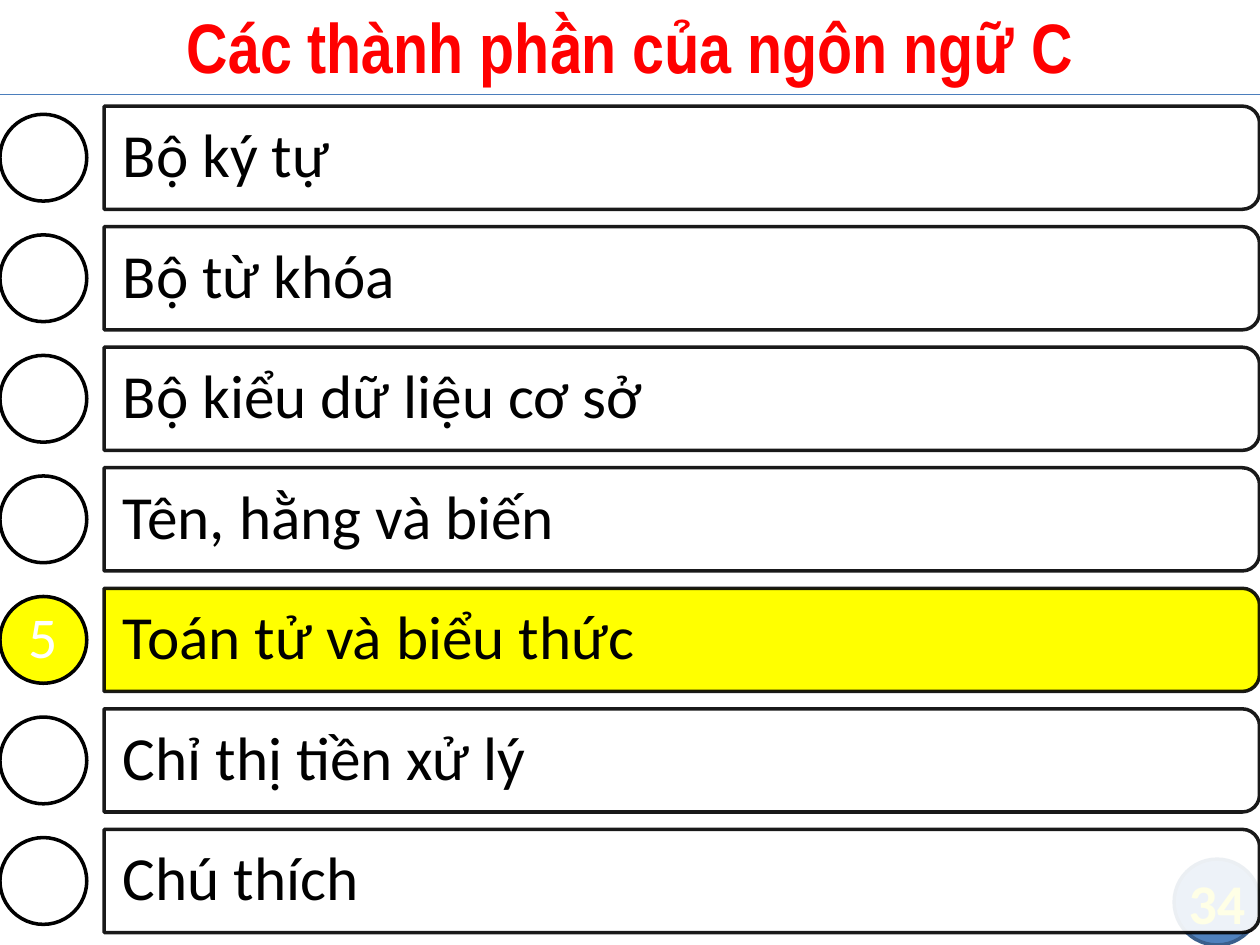
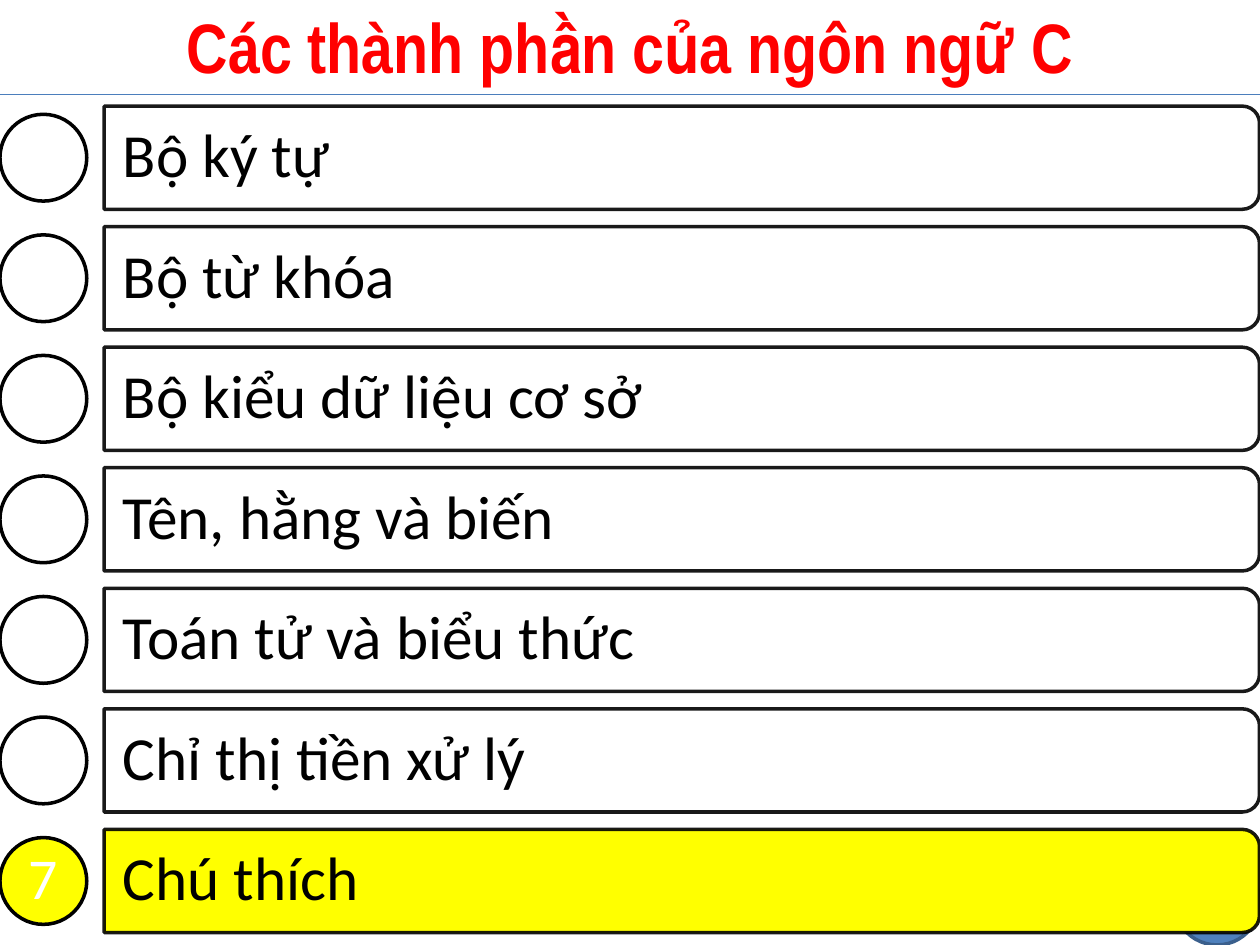
"""Build the agenda slides on the parts of the C language, one highlighted topic each."""
from dataclasses import dataclass

from lxml.etree import SubElement
from pptx import Presentation
from pptx.dml.color import RGBColor
from pptx.enum.shapes import MSO_CONNECTOR, MSO_SHAPE
from pptx.enum.text import MSO_ANCHOR, PP_ALIGN
from pptx.oxml.ns import qn
from pptx.util import Cm, Pt

TITLE = "Các thành phần của ngôn ngữ C"
TOPICS = [
    "Bộ ký tự",
    "Bộ từ khóa",
    "Bộ kiểu dữ liệu cơ sở",
    "Tên, hằng và biến",
    "Toán tử và biểu thức",
    "Chỉ thị tiền xử lý",
    "Chú thích",
]
PAGES = [
    {"number": 34, "current": 5},
    {"number": 52, "current": 7},
]


@dataclass(frozen=True)
class Theme:
    title_font: str = "Arial Narrow"
    body_font: str = "Calibri"
    title_size: int = 40
    topic_size: int = 35
    marker_size: int = 33
    number_size: int = 32
    title: str = "FF0000"
    text: str = "000000"
    plain: str = "FFFFFF"
    highlight: str = "FFFF00"
    badge: str = "4F81BD"
    badge_line: str = "3A5F8C"
    rule: str = "4B7EBC"
    outline: float = 2
    rule_width: float = 0.75
    opacity: int = 90


THEME = Theme()
PAGE_WIDTH, PAGE_HEIGHT = 25.4, 19.05
RULE_TOP = 1.91
TITLE_TOP, TITLE_HEIGHT = -0.08, 1.98
BADGE = 1.73
FIRST_CENTRE, PITCH = 3.18, 2.43
BAR_LEFT, BAR_LENGTH, BAR_HEIGHT = 2.1, 23.29, 2.08
LABEL_WIDTH, LABEL_HEIGHT = 23.19, 1.88
MARKER = 1.75


def write(shape, text, font, size, color, bold=False, align=PP_ALIGN.CENTER, insets=(0, 0), spacing=1.0):
    frame = shape.text_frame
    frame.word_wrap = True
    frame.vertical_anchor = MSO_ANCHOR.MIDDLE
    frame.margin_left = frame.margin_right = Cm(insets[0])
    frame.margin_top = frame.margin_bottom = Cm(insets[1])
    para = frame.paragraphs[0]
    para.text = text
    para.alignment = align
    para.line_spacing = spacing
    para.font.name = font
    para.font.size = Pt(size)
    para.font.bold = bold
    para.font.color.rgb = RGBColor.from_string(color)


def add_box(page, left, top, width, height):
    return page.shapes.add_textbox(Cm(left), Cm(top), Cm(width), Cm(height))


def add_figure(page, kind, left, top, width, height, fill, line):
    shape = page.shapes.add_shape(kind, Cm(left), Cm(top), Cm(width), Cm(height))
    shape.shadow.inherit = False
    shape.fill.solid()
    shape.fill.fore_color.rgb = RGBColor.from_string(fill)
    shape.line.color.rgb = RGBColor.from_string(line)
    shape.line.width = Pt(THEME.outline)
    return shape


def make_translucent(color_parent):
    color = color_parent.find(qn("a:solidFill")).find(qn("a:srgbClr"))
    SubElement(color, qn("a:alpha")).set("val", str(THEME.opacity * 1000))


def add_frame(page, number):
    left, top = PAGE_WIDTH - BADGE, PAGE_HEIGHT - BADGE
    badge = add_figure(page, MSO_SHAPE.FLOWCHART_CONNECTOR, left, top, BADGE, BADGE,
                       THEME.badge, THEME.badge_line)
    rule = page.shapes.add_connector(MSO_CONNECTOR.STRAIGHT, 0, Cm(RULE_TOP), Cm(PAGE_WIDTH), Cm(RULE_TOP))
    rule.line.color.rgb = RGBColor.from_string(THEME.rule)
    rule.line.width = Pt(THEME.rule_width)
    SubElement(rule.element.spPr, qn("a:effectLst"))
    title = add_box(page, 0, TITLE_TOP, PAGE_WIDTH, TITLE_HEIGHT)
    write(title, TITLE, THEME.title_font, THEME.title_size, THEME.title, bold=True, insets=(0.25, 0.13))
    write(badge, str(number), THEME.body_font, THEME.number_size, THEME.highlight, bold=True)


def add_topic(page, position, topic, is_current):
    centre = FIRST_CENTRE + (position - 1) * PITCH
    fill = THEME.highlight if is_current else THEME.plain
    bar = add_figure(page, MSO_SHAPE.ROUND_2_SAME_RECTANGLE,
                     BAR_LEFT + (BAR_LENGTH - BAR_HEIGHT) / 2, centre - BAR_LENGTH / 2,
                     BAR_HEIGHT, BAR_LENGTH, fill, THEME.text)
    bar.rotation = 90
    properties = bar.element.spPr
    make_translucent(properties.find(qn("a:ln")))
    if not is_current:
        make_translucent(properties)
    label = add_box(page, BAR_LEFT, centre - LABEL_HEIGHT / 2, LABEL_WIDTH, LABEL_HEIGHT)
    write(label, topic, THEME.body_font, THEME.topic_size, THEME.text,
          align=PP_ALIGN.LEFT, insets=(0.38, 0.25), spacing=0.9)
    marker = add_figure(page, MSO_SHAPE.OVAL, 0, centre - MARKER / 2, MARKER, MARKER, fill, THEME.text)
    if is_current:
        write(marker, str(position), THEME.body_font, THEME.marker_size, THEME.plain, spacing=0.9)


def main():
    deck = Presentation()
    deck.slide_width, deck.slide_height = Cm(PAGE_WIDTH), Cm(PAGE_HEIGHT)
    for content in PAGES:
        page = deck.slides.add_slide(deck.slide_layouts[6])
        add_frame(page, content["number"])
        for position, topic in enumerate(TOPICS, start=1):
            add_topic(page, position, topic, position == content["current"])
    deck.save("out.pptx")


if __name__ == "__main__":
    main()
